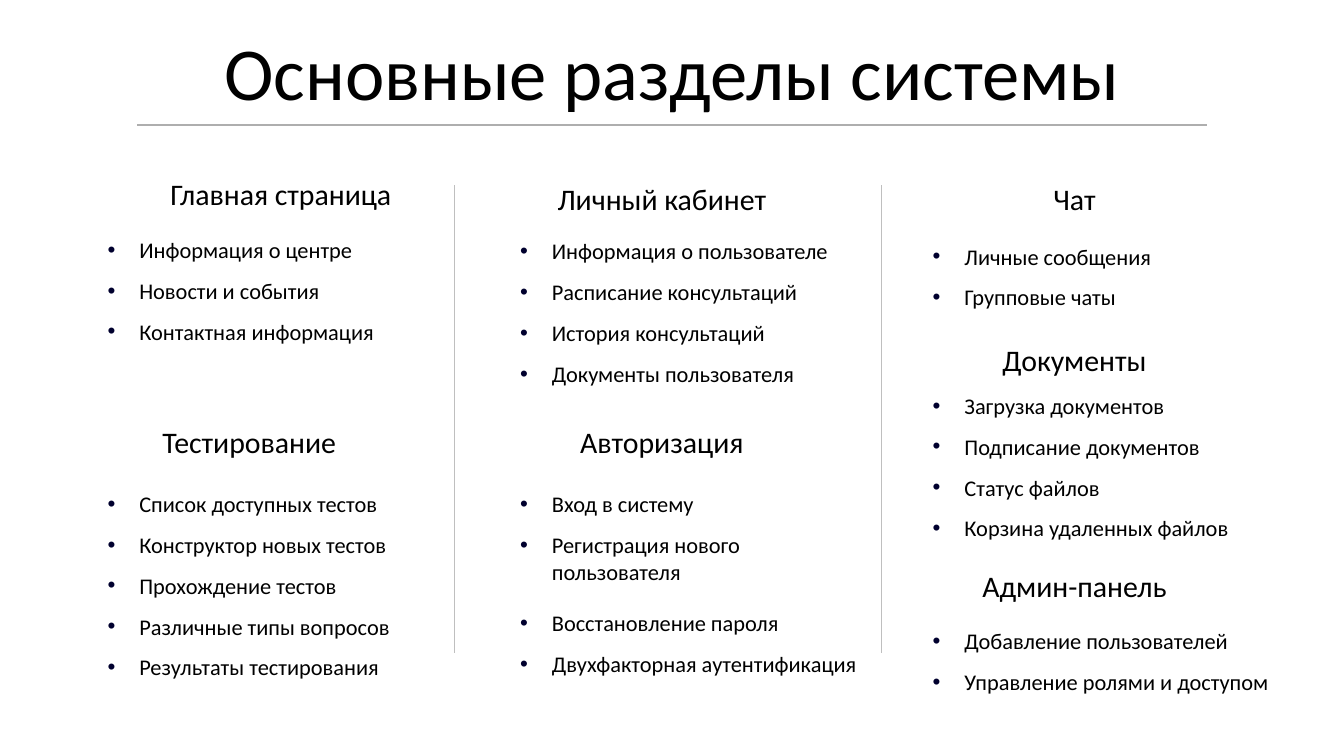
from dataclasses import dataclass

import pptx
import pptx.dml.color
import pptx.enum.shapes
import pptx.enum.text
import pptx.oxml.ns
import pptx.util
from lxml import etree

Inches, Pt = pptx.util.Inches, pptx.util.Pt
ALIGN = pptx.enum.text.PP_ALIGN
ANCHOR = pptx.enum.text.MSO_ANCHOR
qn = pptx.oxml.ns.qn

SLIDE_WIDTH = 10
SLIDE_HEIGHT = SLIDE_WIDTH * 9 / 16
FONT = "Calibri"
BLACK, BULLET, TITLE_RULE, DIVIDER = "000000", "00002E", "AEAEAE", "BFBFBF"
COLUMNS = (0.8, 3.87, 6.94)
ITEM_WIDTHS = (2.58, 2.58, 2.67)
ITEM_HEIGHT = 0.25
ITEM_PITCH = Pt(21.9)
ITEM_INDENT = Pt(17)
WRAPPED_HEIGHT, WRAPPED_SHIFT, WRAPPED_EXTRA = 0.44, 0.13, 0.28


@dataclass
class Section:
    column: int
    heading: str
    heading_top: float
    items_top: float
    items: tuple[str, ...]
    wrapped: str = ""  # the item that takes two lines
    heading_width: float = 2.11
    heading_spacing: float = 1.23


@dataclass
class Rule:
    x1: float
    y1: float
    x2: float
    y2: float
    color: str


SECTIONS = (
    Section(0, "Главная страница", 1.28, 1.63,
            ("Информация о центре", "Новости и события", "Контактная информация"),
            heading_width=2.58, heading_spacing=1.11),
    Section(0, "Тестирование", 3.09, 3.52,
            ("Список доступных тестов", "Конструктор новых тестов", "Прохождение тестов",
             "Различные типы вопросов", "Результаты тестирования")),
    Section(1, "Личный кабинет", 1.28, 1.64,
            ("Информация о пользователе", "Расписание консультаций",
             "История консультаций", "Документы пользователя")),
    Section(1, "Авторизация", 3.09, 3.52,
            ("Вход в систему", "Регистрация нового пользователя",
             "Восстановление пароля", "Двухфакторная аутентификация"),
            wrapped="Регистрация нового пользователя"),
    Section(2, "Чат", 1.28, 1.68, ("Личные сообщения", "Групповые чаты")),
    Section(2, "Документы", 2.48, 2.79,
            ("Загрузка документов", "Подписание документов", "Статус файлов",
             "Корзина удаленных файлов")),
    Section(2, "Админ-панель", 4.16, 4.54,
            ("Добавление пользователей", "Управление ролями и доступом")),
)

RULES = (
    Rule(1.02, 0.93, 8.98, 0.93, TITLE_RULE),
    Rule(3.38, 1.38, 3.38, 4.86, DIVIDER),
    Rule(6.56, 1.38, 6.56, 4.86, DIVIDER),
)


def rgb(color: str) -> pptx.dml.color.RGBColor:
    return pptx.dml.color.RGBColor.from_string(color)


def add_run(p, text: str, size: float) -> None:
    r = p.add_run()
    r.text = text
    r.font.name = FONT
    r.font.size = Pt(size)
    r.font.color.rgb = rgb(BLACK)


def add_paragraph_box(slide, left: int, top: int, width: int, height: int):
    """Add a wrapping text box without insets and return its paragraph."""
    tf = slide.shapes.add_textbox(left, top, width, height).text_frame
    tf.word_wrap = True
    tf.margin_left = tf.margin_top = tf.margin_right = tf.margin_bottom = 0
    return tf.paragraphs[0]


def set_bullet(p) -> None:
    pPr = p._p.get_or_add_pPr()
    pPr.set("marL", str(ITEM_INDENT))
    pPr.set("indent", str(-ITEM_INDENT))
    color = etree.SubElement(pPr, qn("a:buClr"))
    etree.SubElement(color, qn("a:srgbClr")).set("val", BULLET)
    etree.SubElement(pPr, qn("a:buFont")).set("typeface", "Arial")
    etree.SubElement(pPr, qn("a:buChar")).set("char", "•")


def add_title(slide, text: str) -> None:
    sp = slide.shapes.title
    sp.left, sp.top = Inches(1.1), Inches(0)
    sp.width, sp.height = Inches(7.8), Inches(0.92)
    tf = sp.text_frame
    tf.auto_size = pptx.enum.text.MSO_AUTO_SIZE.NONE
    tf.word_wrap = True
    tf.vertical_anchor = ANCHOR.BOTTOM
    p = tf.paragraphs[0]
    p.alignment = ALIGN.CENTER
    p.line_spacing = 0.9
    add_run(p, text, 40)


def add_section(slide, section: Section) -> None:
    left = Inches(COLUMNS[section.column])
    width = Inches(ITEM_WIDTHS[section.column])
    p = add_paragraph_box(slide, left, Inches(section.heading_top),
                          Inches(section.heading_width), Inches(0.27))
    p.alignment = ALIGN.CENTER
    p.line_spacing = section.heading_spacing
    add_run(p, section.heading, 16)

    top = Inches(section.items_top)
    for item in section.items:
        if item == section.wrapped:
            p = add_paragraph_box(slide, left, top + Inches(WRAPPED_SHIFT),
                                  width, Inches(WRAPPED_HEIGHT))
            top += Inches(WRAPPED_EXTRA)
        else:
            p = add_paragraph_box(slide, left, top, width, Inches(ITEM_HEIGHT))
            p.line_spacing = 1.63
        set_bullet(p)
        add_run(p, item, 12)
        top += ITEM_PITCH


def add_rule(slide, rule: Rule) -> None:
    line = slide.shapes.add_connector(
        pptx.enum.shapes.MSO_CONNECTOR.STRAIGHT,
        Inches(rule.x1), Inches(rule.y1), Inches(rule.x2), Inches(rule.y2))
    line.line.color.rgb = rgb(rule.color)
    line.line.width = Pt(0.75)
    etree.SubElement(line._element.spPr, qn("a:effectLst"))


def main() -> None:
    prs = pptx.Presentation()
    prs.slide_width, prs.slide_height = Inches(SLIDE_WIDTH), Inches(SLIDE_HEIGHT)
    slide = prs.slides.add_slide(prs.slide_layouts[5])
    add_title(slide, "Основные разделы системы")
    for section in SECTIONS:
        add_section(slide, section)
    for rule in RULES:
        add_rule(slide, rule)
    prs.save("out.pptx")


if __name__ == "__main__":
    main()
